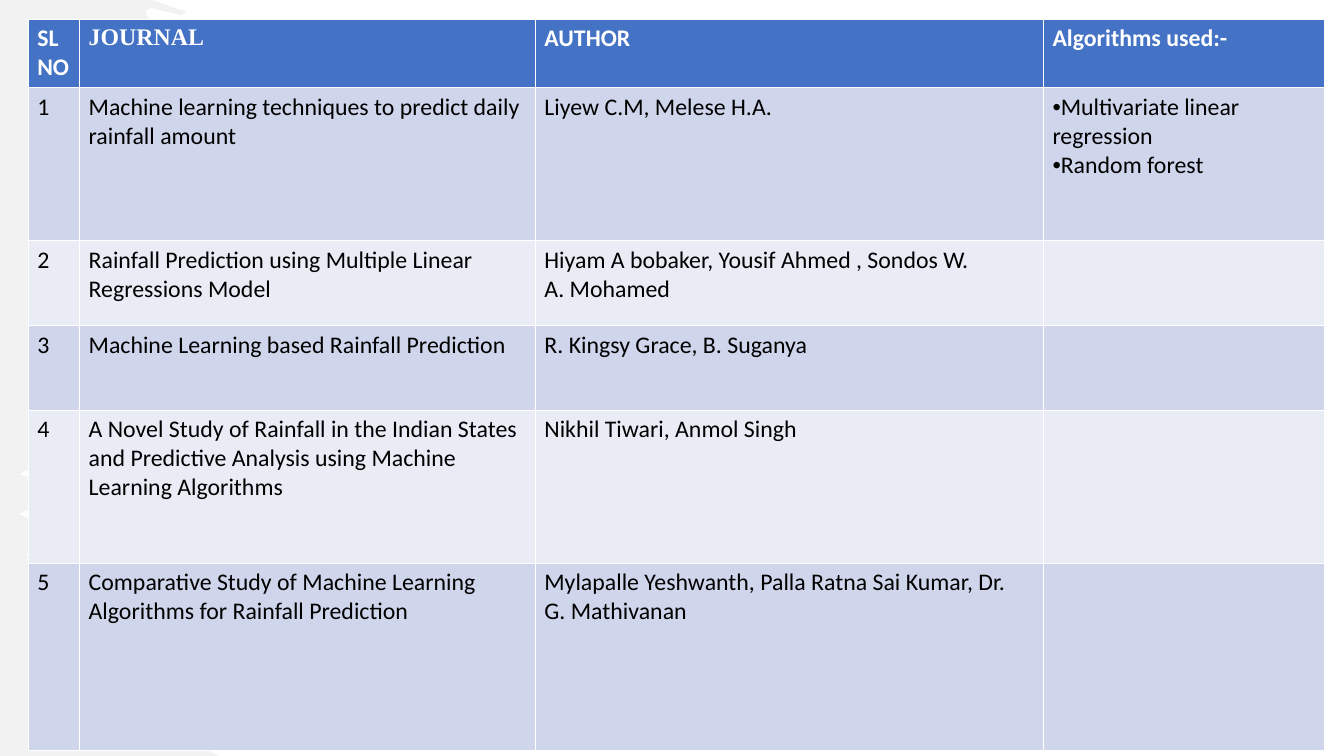
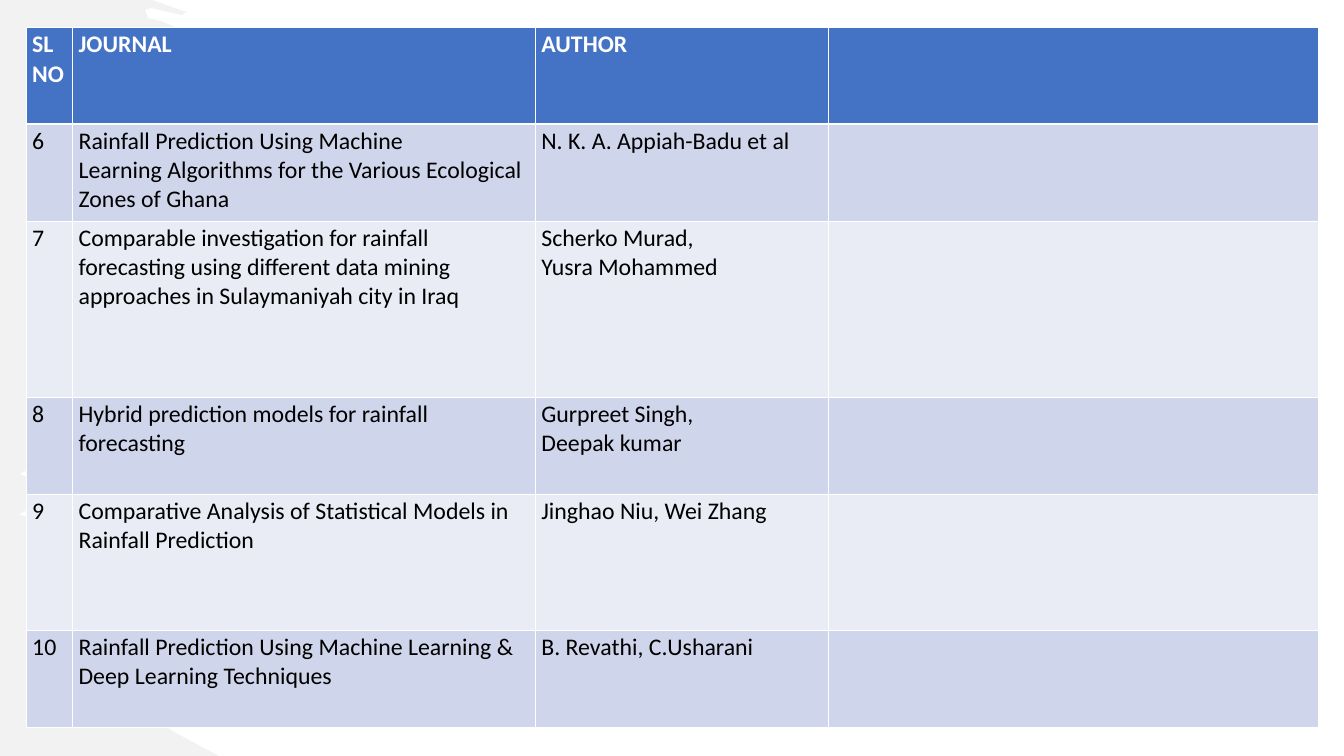
"""Build two slides of a rainfall prediction literature survey."""
import dataclasses
import math

import lxml.etree
import pptx
import pptx.dml.color
import pptx.oxml.ns
import pptx.util

Inches = pptx.util.Inches
Pt = pptx.util.Pt
qn = pptx.oxml.ns.qn

SLIDE_WIDTH = 13.33
SLIDE_HEIGHT = 7.5
TIE = "~"
NO_BREAK_SPACE = chr(160)


@dataclasses.dataclass(frozen=True)
class Theme:
    """Colours, fonts and type sizes shared by the slides."""

    header: str = "4472C4"
    odd_row: str = "CFD5EA"
    even_row: str = "E9EBF5"
    border: str = "FFFFFF"
    header_text: str = "FFFFFF"
    body_text: str = "000000"
    brush: str = "E7E6E6"
    brush_opacity: int = 50
    font: str = "Calibri"
    accent_font: str = "Times New Roman"
    bullet_font: str = "Arial"
    text_size: float = 17
    thin_line: float = 0.3
    header_line: float = 0.88


@dataclasses.dataclass(frozen=True)
class Layout:
    """Place, column widths, row heights and cell margins of a table."""

    left: float
    top: float
    widths: tuple
    heights: tuple
    side_margin: float
    end_margin: float


FIRST_LAYOUT = Layout(
    0.28, 0.19, (0.51, 4.52, 5.04, 2.78), (0.5, 1.52, 0.84, 0.84, 1.52, 1.86), 0.09, 0.05)
SECOND_LAYOUT = Layout(
    0.26, 0.27, (0.46, 4.59, 2.9, 4.86), (0.96, 0.96, 1.75, 0.96, 1.35, 0.96), 0.06, 0.03)

FIRST_PAPERS = [
    ("Machine learning techniques to predict daily rainfall~amount",
     "Liyew~C.M,~Melese~H.A."),
    ("Rainfall Prediction using Multiple Linear Regressions~Model",
     "Hiyam~A~bobaker, Yousif~Ahmed ,~Sondos~W. A.~Mohamed"),
    ("Machine Learning based Rainfall Prediction",
     "R.~Kingsy~Grace,~B.~Suganya"),
    ("A Novel Study of Rainfall in the Indian States and~Predictive "
     "Analysis using Machine Learning Algorithms",
     "Nikhil Tiwari,~Anmol Singh"),
    ("Comparative Study of Machine Learning Algorithms for~Rainfall Prediction",
     "Mylapalle~Yeshwanth,~Palla Ratna Sai~Kumar, Dr. G.~Mathivanan"),
]

SECOND_PAPERS = [
    ("Rainfall Prediction Using Machine Learning~Algorithms for the "
     "Various Ecological Zones of Ghana",
     "N. K. A. Appiah-Badu et al"),
    ("Comparable investigation for rainfall forecasting~using different "
     "data mining approaches in~Sulaymaniyah city in Iraq",
     "Scherko~Murad, Yusra~Mohammed"),
    ("Hybrid prediction models for rainfall forecasting",
     "Gurpreet Singh, Deepak~kumar"),
    ("Comparative Analysis of Statistical Models in Rainfall~Prediction",
     "Jinghao~Niu, Wei Zhang"),
    ("Rainfall Prediction Using Machine Learning & Deep~Learning Techniques",
     "B. Revathi,~C.Usharani"),
]

ALGORITHMS = "Multivariate linear regression\nRandom forest"


def rgb(value):
    """Return a colour object for a hexadecimal string."""
    return pptx.dml.color.RGBColor.from_string(value)


def brush_outline():
    """Return the brush stroke outline in inches, with bristles set by a wave."""
    top_bristle = [(1.51, 0), (1.85, 0.12), (1.8, 0.15), (1.5, 0.08), (1.44, 0.1),
                   (1.47, 0.18), (1.6, 0.21), (1.74, 0.27)]
    bottom_bristle = [(1.58, 7.03), (1.63, 7.2), (1.76, 7.28), (2.17, SLIDE_HEIGHT)]
    bristle_count, first_tip, spacing, depth = 16, 0.5, 0.4, 0.45
    mean_reach, swing, widest = 1.28, 0.65, 1.0
    bristles = []
    for index in range(bristle_count):
        tip = first_tip + index * spacing
        reach = mean_reach + swing * math.cos(math.tau * (tip - widest) / SLIDE_HEIGHT)
        bristles += [(reach, tip), (reach - depth, tip + spacing / 2)]
    return [(0, 0), *top_bristle, *bristles, *bottom_bristle, (0, SLIDE_HEIGHT)]


def survey_rows(papers, first_number, algorithms_heading="", first_algorithms=""):
    """Return a header row and numbered paper rows."""
    rows = [("SL\nNO", "JOURNAL", "AUTHOR", algorithms_heading)]
    for number, (journal, author) in enumerate(papers, first_number):
        algorithms = first_algorithms if number == first_number else ""
        rows.append((str(number), journal, author, algorithms))
    return rows


class Deck:
    """Hold the presentation, its theme and the current slide."""

    def __init__(self, theme):
        """Start an empty widescreen presentation."""
        self.theme = theme
        self.presentation = pptx.Presentation()
        self.presentation.slide_width = Inches(SLIDE_WIDTH)
        self.presentation.slide_height = Inches(SLIDE_HEIGHT)
        self.slide = None

    def add_slide(self):
        """Add a blank slide with the shared brush stroke."""
        self.slide = self.presentation.slides.add_slide(self.presentation.slide_layouts[6])
        self.add_brush()

    def add_brush(self):
        """Draw the translucent brush stroke along the left side."""
        start, *others = [(Inches(x), Inches(y)) for x, y in brush_outline()]
        builder = self.slide.shapes.build_freeform(*start)
        builder.add_line_segments(others, close=True)
        shape = builder.convert_to_shape()
        shape.shadow.inherit = False
        shape.line.fill.background()
        shape.fill.solid()
        shape.fill.fore_color.rgb = rgb(self.theme.brush)
        color = shape._element.spPr.find(qn("a:solidFill")).find(qn("a:srgbClr"))
        lxml.etree.SubElement(color, qn("a:alpha"), val=str(self.theme.brush_opacity * 1000))

    def add_table(self, layout, rows):
        """Add a banded table and return it."""
        frame = self.slide.shapes.add_table(
            len(rows), len(layout.widths), Inches(layout.left), Inches(layout.top),
            Inches(sum(layout.widths)), Inches(sum(layout.heights)))
        table = frame.table
        table.horz_banding = False
        for column, width in zip(table.columns, layout.widths):
            column.width = Inches(width)
        for row, height in zip(table.rows, layout.heights):
            row.height = Inches(height)
        for row_index, texts in enumerate(rows):
            for column_index, text in enumerate(texts):
                cell = table.cell(row_index, column_index)
                cell.margin_left = cell.margin_right = Inches(layout.side_margin)
                cell.margin_top = cell.margin_bottom = Inches(layout.end_margin)
                self.write_cell(cell, text, row_index == 0)
                self.paint_cell(cell, row_index)
        return table

    def write_cell(self, cell, text, is_header):
        """Set the text of a cell in the header or body style."""
        theme = self.theme
        cell.text = text.replace(TIE, NO_BREAK_SPACE)
        for paragraph in cell.text_frame.paragraphs:
            font = paragraph.font
            font.name = theme.font
            font.size = Pt(theme.text_size)
            font.bold = is_header
            font.color.rgb = rgb(theme.header_text if is_header else theme.body_text)

    def paint_cell(self, cell, row_index):
        """Give a cell its borders and band colour."""
        theme = self.theme
        header_line_sides = {0: "B", 1: "T"}
        for side in "LRTB":
            beside_header = side == header_line_sides.get(row_index)
            self.add_border(cell, side, theme.header_line if beside_header else theme.thin_line)
        band = theme.odd_row if row_index % 2 else theme.even_row
        cell.fill.solid()
        cell.fill.fore_color.rgb = rgb(band if row_index else theme.header)

    def add_border(self, cell, side, width):
        """Draw one side of a cell border."""
        properties = cell._tc.get_or_add_tcPr()
        line = lxml.etree.SubElement(properties, qn(f"a:ln{side}"), w=str(int(Pt(width))))
        fill = lxml.etree.SubElement(line, qn("a:solidFill"))
        lxml.etree.SubElement(fill, qn("a:srgbClr"), val=self.theme.border)

    def add_bullets(self, cell):
        """Put a bullet before each paragraph of a cell."""
        for paragraph in cell.text_frame.paragraphs:
            bullet_font = lxml.etree.Element(qn("a:buFont"), typeface=self.theme.bullet_font)
            bullet = lxml.etree.Element(qn("a:buChar"), char="•")
            properties = paragraph._p.get_or_add_pPr()
            properties.insert(0, bullet_font)
            properties.insert(1, bullet)


def main():
    """Build and save the slides."""
    deck = Deck(Theme())

    deck.add_slide()
    first_rows = survey_rows(FIRST_PAPERS, 1, "Algorithms used:-", ALGORITHMS)
    table = deck.add_table(FIRST_LAYOUT, first_rows)
    journal_heading = table.cell(0, 1).text_frame.paragraphs[0]
    journal_heading.font.name = deck.theme.accent_font
    deck.add_bullets(table.cell(1, 3))

    deck.add_slide()
    second_rows = survey_rows(SECOND_PAPERS, len(FIRST_PAPERS) + 1)
    deck.add_table(SECOND_LAYOUT, second_rows)

    deck.presentation.save("out.pptx")


if __name__ == "__main__":
    main()
